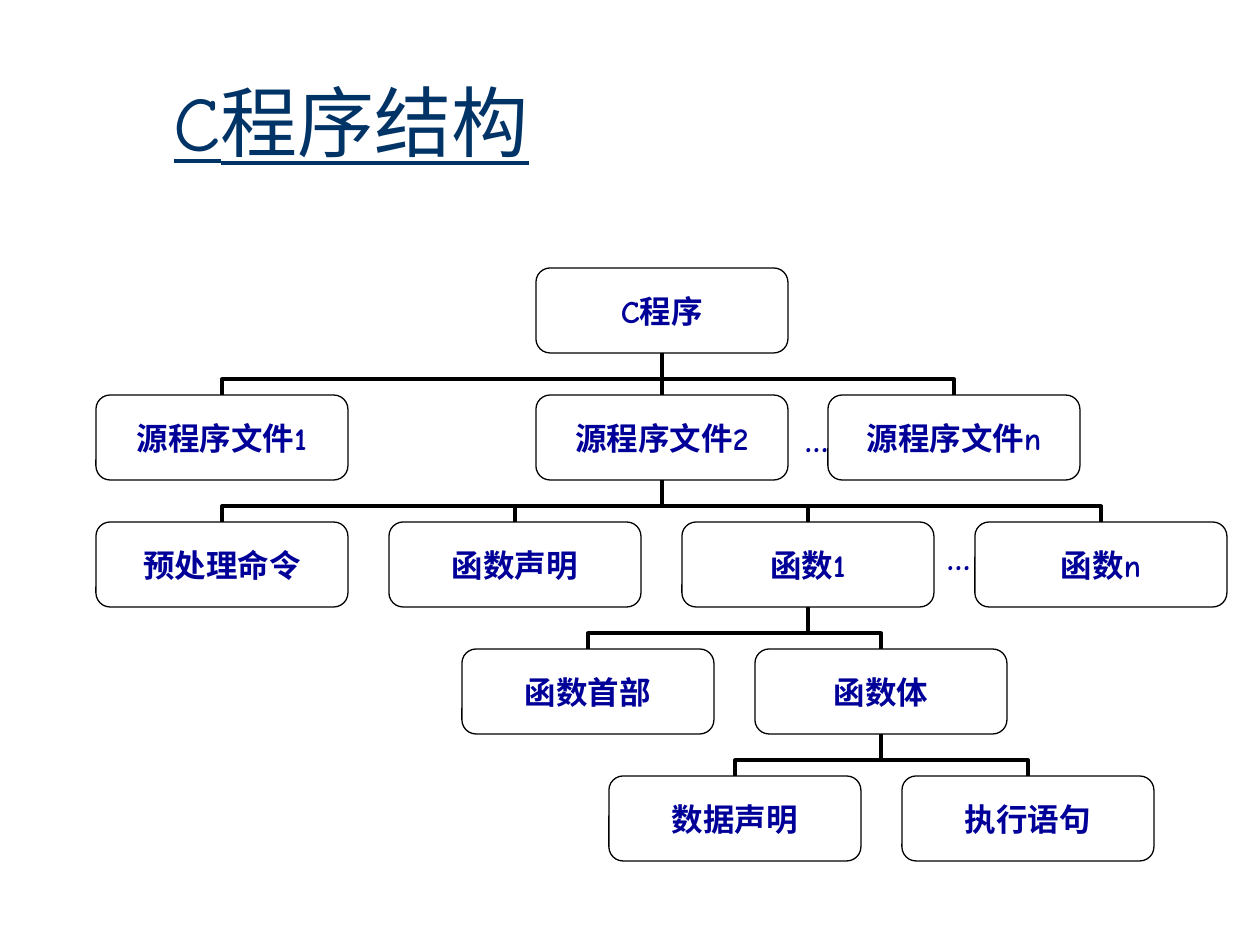
from lxml import etree
from pptx import Presentation
from pptx.dml.color import RGBColor
from pptx.enum.shapes import MSO_CONNECTOR, MSO_SHAPE
from pptx.enum.text import MSO_ANCHOR, MSO_AUTO_SIZE, PP_ALIGN
from pptx.oxml.ns import qn
from pptx.util import Pt

ROUNDED = MSO_SHAPE.ROUNDED_RECTANGLE
ELBOW = MSO_CONNECTOR.ELBOW
STRAIGHT = MSO_CONNECTOR.STRAIGHT
MIDDLE = MSO_ANCHOR.MIDDLE
TOP = MSO_ANCHOR.TOP
NO_AUTOFIT = MSO_AUTO_SIZE.NONE
CENTER = PP_ALIGN.CENTER
LEFT = PP_ALIGN.LEFT

PX = 914400 // 126
FONT = "Comic Neue"
NAVY = "003366"
BLUE = "000099"
BLACK = "000000"

NODE_WIDTH, NODE_HEIGHT = 252, 85
ROW_PITCH = 127
COLUMN_PITCH = 73.25
ELLIPSIS_WIDTH, ELLIPSIS_HEIGHT = 137, 55

PROGRAM = ("C程序", 6, [
    ("源程序文件1", 0, []),
    ("源程序文件2", 6, [
        ("预处理命令", 0, []),
        ("函数声明", 4, []),
        ("函数1", 8, [
            ("函数首部", 5, []),
            ("函数体", 9, [
                ("数据声明", 7, []),
                ("执行语句", 11, []),
            ]),
        ]),
        ("函数n", 12, []),
    ]),
    ("源程序文件n", 10, []),
])
ELLIPSES = [(719, 143), (861, 261)]


def px(length):
    return round(length) * PX


def color(value):
    return RGBColor.from_string(value)


def place(shape, left, top, width, height):
    box = {"left": left, "top": top, "width": width, "height": height}
    for side, length in box.items():
        setattr(shape, side, px(length))


def write(shape, words, ink, align, frame_format, font_format):
    frame = shape.text_frame
    for key, value in frame_format.items():
        setattr(frame, key, value)
    paragraph = frame.paragraphs[0]
    paragraph.alignment = align
    run = paragraph.add_run()
    run.text = words
    run.font.name = FONT
    run.font.color.rgb = color(ink)
    for key, value in font_format.items():
        setattr(run.font, key, value)


def add_title(slide, left, top, width, height):
    title = slide.shapes.title
    place(title, left, top, width, height)
    write(title, "C程序结构", NAVY, LEFT,
          {"vertical_anchor": MIDDLE, "auto_size": NO_AUTOFIT},
          {"size": Pt(44), "underline": True})


def add_node(slide, label, left, top):
    node = slide.shapes.add_shape(ROUNDED, px(left), px(top),
                                  px(NODE_WIDTH), px(NODE_HEIGHT))
    node.shadow.inherit = False
    node.fill.background()
    node.line.color.rgb = color(BLACK)
    node.line.width = Pt(0.75)
    write(node, label, BLUE, CENTER,
          {"vertical_anchor": MIDDLE, "word_wrap": False,
           "margin_left": px(9), "margin_right": px(9),
           "margin_top": px(5), "margin_bottom": px(5)},
          {"size": Pt(18), "bold": True})
    return node


def join(slide, child, parent):
    child_x = child.left + child.width // 2
    parent_x = parent.left + parent.width // 2
    parent_y = parent.top + parent.height
    kind = STRAIGHT if child_x == parent_x else ELBOW
    branch = slide.shapes.add_connector(kind, child_x, child.top, parent_x, parent_y)
    branch.line.color.rgb = color(BLACK)
    branch.line.width = Pt(2.25)
    properties = branch._element.spPr
    etree.SubElement(properties, qn("a:effectLst"))
    if kind == STRAIGHT:
        branch.begin_connect(child, 0)
        branch.end_connect(parent, 2)
        return
    rise, run = child.top - parent_y, abs(child_x - parent_x)
    branch.left = (child_x + parent_x - rise) // 2
    branch.top = (child.top + parent_y - run) // 2
    branch.width, branch.height = rise, run
    on_right = child_x > parent_x
    turn = {"rot": "16200000" if on_right else "5400000",
            "flipH": "0" if on_right else "1", "flipV": "1"}
    for key, value in turn.items():
        properties.find(qn("a:xfrm")).set(key, value)
    guides = properties.find(qn("a:prstGeom")).get_or_add_avLst()
    etree.SubElement(guides, qn("a:gd"), name="adj1", fmla="val 37200")


def add_branch(slide, tree, left, top):
    label, column, children = tree
    node = add_node(slide, label, left + column * COLUMN_PITCH, top)
    for child in children:
        join(slide, add_branch(slide, child, left, top + ROW_PITCH), node)
    return node


def add_ellipsis(slide, left, top):
    ellipsis = slide.shapes.add_textbox(px(left), px(top),
                                        px(ELLIPSIS_WIDTH), px(ELLIPSIS_HEIGHT))
    write(ellipsis, "…", BLUE, CENTER,
          {"vertical_anchor": TOP, "word_wrap": True},
          {"size": Pt(20), "bold": True})


def add_structure(slide, left, top):
    add_branch(slide, PROGRAM, left, top)
    for across, down in ELLIPSES:
        add_ellipsis(slide, left - 67 + across, top + down)


def main():
    deck = Presentation()
    deck.slide_width, deck.slide_height = px(1260), px(945)
    slide = deck.slides.add_slide(deck.slide_layouts[5])
    add_title(slide, 161, 42, 1071, 157)
    add_structure(slide, 96, 268)
    deck.save("out.pptx")


if __name__ == "__main__":
    main()
